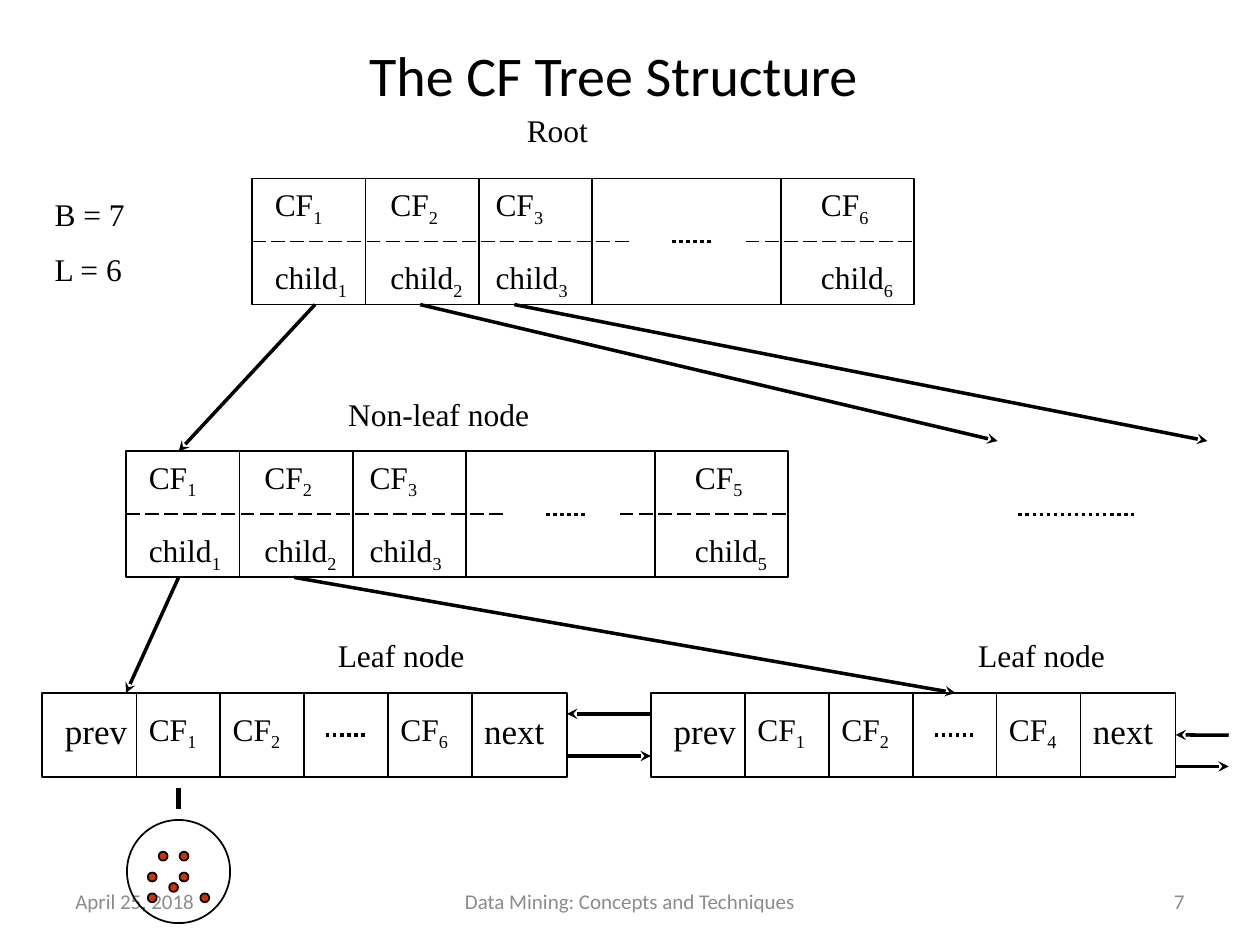
"""Build the slide that explains the structure of a CF tree."""
from dataclasses import dataclass

import pptx
import pptx.dml.color
import pptx.enum.dml
import pptx.enum.shapes
import pptx.enum.text
import pptx.oxml
import pptx.util

Cm = pptx.util.Cm
Pt = pptx.util.Pt
Align = pptx.enum.text.PP_ALIGN
Anchor = pptx.enum.text.MSO_ANCHOR
Dash = pptx.enum.dml.MSO_LINE
Preset = pptx.enum.shapes.MSO_SHAPE


@dataclass(frozen=True)
class Theme:
    ink: pptx.dml.color.RGBColor = pptx.dml.color.RGBColor(0x00, 0x00, 0x00)
    muted: pptx.dml.color.RGBColor = pptx.dml.color.RGBColor(0x8C, 0x8C, 0x8C)
    point: pptx.dml.color.RGBColor = pptx.dml.color.RGBColor(0xCC, 0x33, 0x00)
    heading_font: str = "Calibri"
    tree_font: str = "Times New Roman"
    title_size: int = 32
    entry_size: int = 18
    pointer_size: int = 20
    footer_size: int = 12


theme = Theme()
deck = pptx.Presentation()
deck.slide_width, deck.slide_height = Cm(25.4), Cm(19.05)
slide = deck.slides.add_slide(deck.slide_layouts[5])


def add_stroke(x1, y1, x2, y2, weight=1, dash=None, arrow=False):
    stroke = slide.shapes.add_connector(
        pptx.enum.shapes.MSO_CONNECTOR.STRAIGHT, Cm(x1), Cm(y1), Cm(x2), Cm(y2))
    stroke.line.color.rgb = theme.ink
    stroke.line.width = Pt(weight)
    if dash:
        stroke.line.dash_style = dash
    if arrow:
        tip = pptx.oxml.parse_xml(
            '<a:tailEnd xmlns:a="http://schemas.openxmlformats.org/drawingml/2006/main"'
            ' type="stealth"/>')
        stroke.line._get_or_add_ln().append(tip)
    stroke._element.spPr.append(pptx.oxml.parse_xml(
        '<a:effectLst xmlns:a="http://schemas.openxmlformats.org/drawingml/2006/main"/>'))
    return stroke


def add_label(x, y, width, height, text, subscript="", size=theme.entry_size,
              font=theme.tree_font, color=theme.ink, align=Align.LEFT, anchor=Anchor.TOP):
    frame = slide.shapes.add_textbox(Cm(x), Cm(y), Cm(width), Cm(height)).text_frame
    frame.word_wrap = True
    frame.vertical_anchor = anchor
    frame.text = text
    if subscript:
        index = frame.paragraphs[0].add_run()
        index.text = subscript
        index._r.get_or_add_rPr().set("baseline", "-25000")
    for number, paragraph in enumerate(frame.paragraphs):
        paragraph.alignment = align
        if number:
            paragraph.space_before = Pt(10)
        for run in paragraph.runs:
            run.font.size, run.font.name, run.font.color.rgb = Pt(size), font, color


footers = [
    (1.27, 5.93, "April 25, 2018", Align.LEFT),
    (8.68, 8.04, "Data Mining: Concepts and Techniques", Align.CENTER),
    (18.2, 5.93, "7", Align.RIGHT),
]
for x, width, text, align in footers:
    add_label(x, 17.66, width, 1.01, text, size=theme.footer_size, font=theme.heading_font,
              color=theme.muted, align=align, anchor=Anchor.MIDDLE)

title = slide.shapes.title
title.left, title.top, title.width, title.height = Cm(1.88), Cm(0.64), Cm(20.98), Cm(1.7)
title.text_frame.text = "The CF Tree Structure"
title.text_frame.vertical_anchor = Anchor.MIDDLE
title.text_frame.paragraphs[0].alignment = Align.CENTER
title_font = title.text_frame.paragraphs[0].runs[0].font
title_font.size, title_font.name = Pt(theme.title_size), theme.heading_font
title_font.color.rgb = theme.ink

branch_nodes = [(5.08, 3.6, "6"), (2.54, 9.1, "5")]
branch_height, branch_width = 2.54, 13.34
for left, top, last in branch_nodes:
    branch = slide.shapes.add_shape(
        Preset.RECTANGLE, Cm(left), Cm(top), Cm(branch_width), Cm(branch_height))
    branch.shadow.inherit = False
    branch.fill.background()
    branch.line.color.rgb, branch.line.width = theme.ink, Pt(1)
    for offset in (2.29, 4.57, 6.86, 10.67):
        add_stroke(left + offset, top, left + offset, top + branch_height)
    middle = top + branch_height / 2
    for start, end in ((0, 7.62), (9.95, branch_width)):
        add_stroke(left + start, middle, left + end, middle, dash=Dash.LONG_DASH)
    add_stroke(left + 8.47, middle, left + 9.31, middle, 2, Dash.ROUND_DOT)
    for offset, index in ((0.21, "1"), (2.54, "2"), (4.66, "3"), (11.22, last)):
        add_label(left + offset, top, 1.91, 1.27, "CF", index)
        add_label(left + offset, top + 1.48, 2.54, 1.02, "child", index)

leaf_top, leaf_height, leaf_width = 13.97, 1.69, 10.58
for left, last in ((0.85, "6"), (13.12, "4")):
    leaf = slide.shapes.add_shape(
        Preset.RECTANGLE, Cm(left), Cm(leaf_top), Cm(leaf_width), Cm(leaf_height))
    leaf.shadow.inherit = False
    leaf.fill.background()
    leaf.line.color.rgb, leaf.line.width = theme.ink, Pt(1)
    dividers = [left + 1.9 + 1.69 * step for step in range(5)]
    for x in dividers:
        add_stroke(x, leaf_top, x, leaf_top + leaf_height)
    for x, index in ((dividers[0], "1"), (dividers[1], "2"), (dividers[3], last)):
        add_label(x, 14.18, 1.91, 1.27, "CF", index)
    for x, pointer in ((left + 0.21, "prev"), (dividers[4], "next")):
        add_label(x, 14.18, 1.91, 1.1, pointer, size=theme.pointer_size)
    add_stroke(left + 5.72, 14.82, left + 6.56, 14.82, 2, Dash.ROUND_DOT)

arrows = [
    (6.35, 6.14, 3.6, 9.1),
    (8.47, 6.14, 20.11, 8.89),
    (10.37, 6.14, 24.34, 8.89),
    (3.6, 11.64, 2.54, 13.97),
    (5.93, 11.64, 19.26, 13.97),
    (13.12, 14.39, 11.43, 14.39),
    (11.43, 15.24, 13.12, 15.24),
    (23.7, 15.45, 24.77, 15.45),
]
for ends in arrows:
    add_stroke(*ends, weight=2, arrow=True)
add_stroke(24.77, 14.82, 23.7, 14.82, 2, arrow=True).end_connect(leaf, 3)
add_stroke(20.53, 10.37, 22.86, 10.37, 2, Dash.ROUND_DOT)

captions = [
    (0.85, 3.81, 2.96, 2.79, "B = 7\nL = 6"),
    (10.37, 2.12, 2.75, 1.27, "Root"),
    (6.77, 7.83, 5.5, 1.27, "Non-leaf node"),
    (6.56, 12.7, 4.02, 1.27, "Leaf node"),
    (19.47, 12.7, 4.02, 1.27, "Leaf node"),
]
for caption in captions:
    add_label(*caption)

points = [(3.2, 17.17), (3.62, 17.59), (3.62, 17.17), (2.98, 18.01),
          (2.98, 17.59), (3.41, 17.8), (4.04, 18.01)]
for x, y in points:
    point = slide.shapes.add_shape(Preset.OVAL, Cm(x), Cm(y), Cm(0.18), Cm(0.18))
    point.shadow.inherit = False
    point.fill.solid()
    point.fill.fore_color.rgb = theme.point
    point.line.color.rgb, point.line.width = theme.ink, Pt(1)

cluster = slide.shapes.add_shape(Preset.OVAL, Cm(2.56), Cm(16.53), Cm(2.08), Cm(2.08))
cluster.shadow.inherit = False
cluster.fill.background()
cluster.line.color.rgb, cluster.line.width = theme.ink, Pt(1)
add_stroke(3.6, 15.88, 3.6, 16.3, 3)

deck.save("out.pptx")
